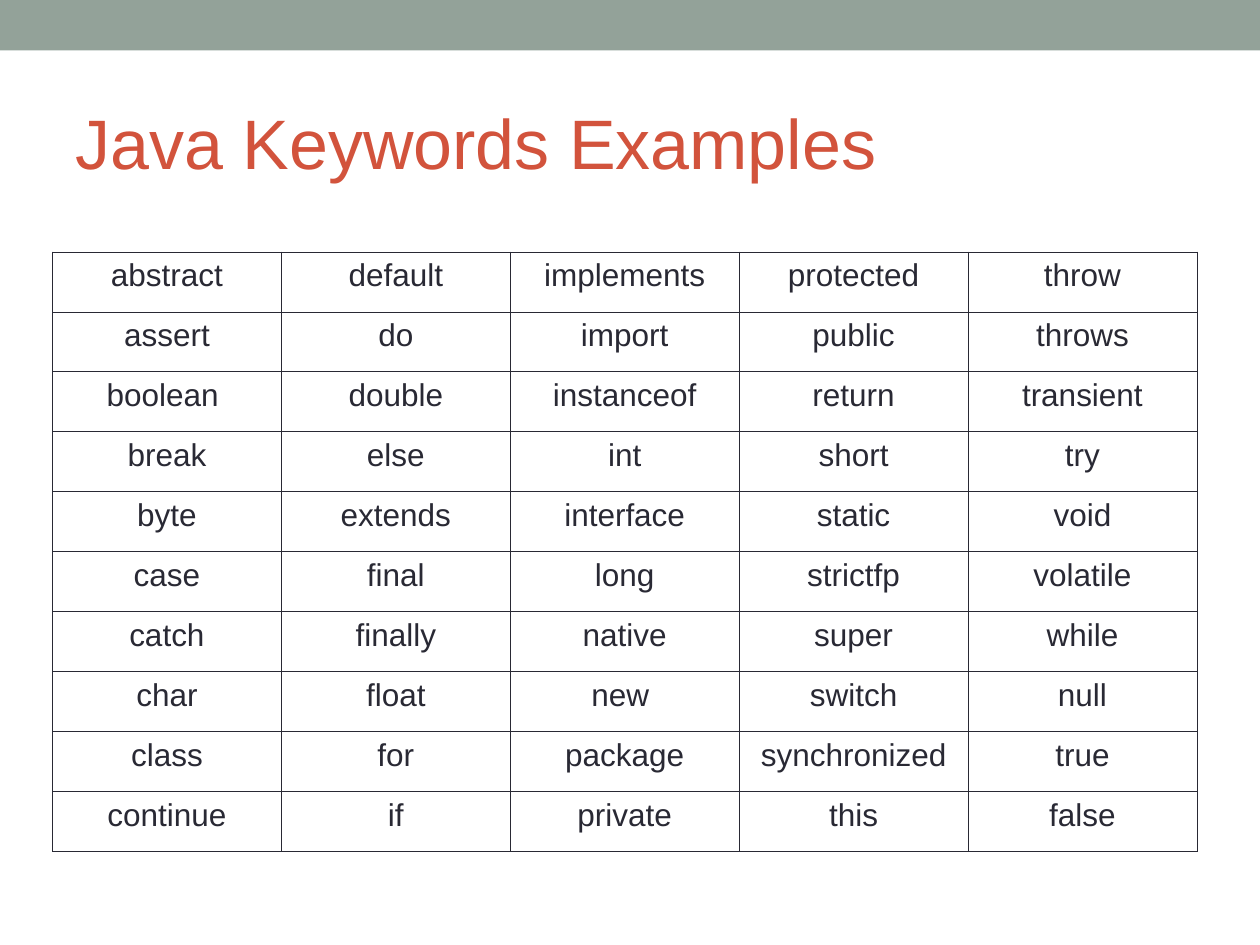
from lxml.etree import SubElement
from pptx import Presentation
from pptx.dml.color import RGBColor
from pptx.enum.shapes import MSO_SHAPE
from pptx.enum.text import MSO_ANCHOR, MSO_AUTO_SIZE, PP_ALIGN
from pptx.oxml.ns import qn
from pptx.util import Pt

SAGE, RUST, INK = "93A299", "D2533C", "292934"
KEYWORD_COLUMNS = [
    ["abstract", "assert", "boolean ", "break", "byte",
     "case", "catch", "char", "class", "continue"],
    ["default", "do", "double", "else", "extends",
     "final", "finally", "float", "for", "if"],
    ["implements", "import", "instanceof", "int", "interface",
     "long", "native", "new ", "package", "private"],
    ["protected", "public", "return", "short", "static",
     "strictfp", "super", "switch", "synchronized", "this"],
    ["throw", "throws", "transient", "try", "void",
     "volatile", "while", "null", "true", "false"],
]


def color(hex_value):
    """Turn a hex string into a colour."""
    return RGBColor.from_string(hex_value)


def write(frame, text, size=18, ink=INK, align=PP_ALIGN.LEFT, font="Arial"):
    """Put one formatted paragraph into a text frame."""
    paragraph = frame.paragraphs[0]
    paragraph.alignment = align
    run = paragraph.add_run()
    run.text = text
    run.font.size, run.font.name = Pt(size), font
    run.font.color.rgb = color(ink)


def add_band(slide, left, top, width, height):
    """Draw the plain coloured band in the given box."""
    band = slide.shapes.add_shape(
        MSO_SHAPE.RECTANGLE, Pt(left), Pt(top), Pt(width), Pt(height))
    band.shadow.inherit = False
    band.fill.solid()
    band.fill.fore_color.rgb = color(SAGE)
    band.line.fill.background()


def place_title(slide, text, left, top, width, height):
    """Move the title placeholder into the given box and fill it."""
    title = slide.shapes.title
    title.left, title.top = Pt(left), Pt(top)
    title.width, title.height = Pt(width), Pt(height)
    frame = title.text_frame
    frame.word_wrap = True
    frame.auto_size = MSO_AUTO_SIZE.NONE
    frame.vertical_anchor = MSO_ANCHOR.MIDDLE
    write(frame, text, size=40, ink=RUST)


def outline_cell(cell, ink=INK, weight=0.45):
    """Give a cell a thin line on all four sides."""
    properties = cell._tc.get_or_add_tcPr()
    for side in ("lnL", "lnR", "lnT", "lnB"):
        line = SubElement(properties, qn(f"a:{side}"), w=str(Pt(weight)))
        fill = SubElement(line, qn("a:solidFill"))
        SubElement(fill, qn("a:srgbClr"), val=ink)


def add_keyword_table(slide, columns, left, top, width, height):
    """Lay the keywords out in an even grid filling the given box."""
    row_count = len(columns[0])
    table = slide.shapes.add_table(
        row_count, len(columns), Pt(left), Pt(top), Pt(width), Pt(height)).table
    table.first_row = table.horz_banding = False
    for row in table.rows:
        row.height = Pt(height / row_count)
    for column_index, keywords in enumerate(columns):
        table.columns[column_index].width = Pt(width / len(columns))
        for row_index, keyword in enumerate(keywords):
            cell = table.cell(row_index, column_index)
            outline_cell(cell)
            cell.fill.background()
            write(cell.text_frame, keyword, align=PP_ALIGN.CENTER)


def main():
    """Build the keyword slide and save it."""
    deck = Presentation()
    deck.slide_width, deck.slide_height = Pt(720), Pt(540)
    slide = deck.slides.add_slide(deck.slide_layouts[5])
    add_band(slide, 0, 0, 720, 28.8)
    place_title(slide, "Java Keywords Examples", 36, 42, 648, 78)
    add_keyword_table(slide, KEYWORD_COLUMNS, 30, 144, 654, 342.6)
    deck.save("out.pptx")


if __name__ == "__main__":
    main()
